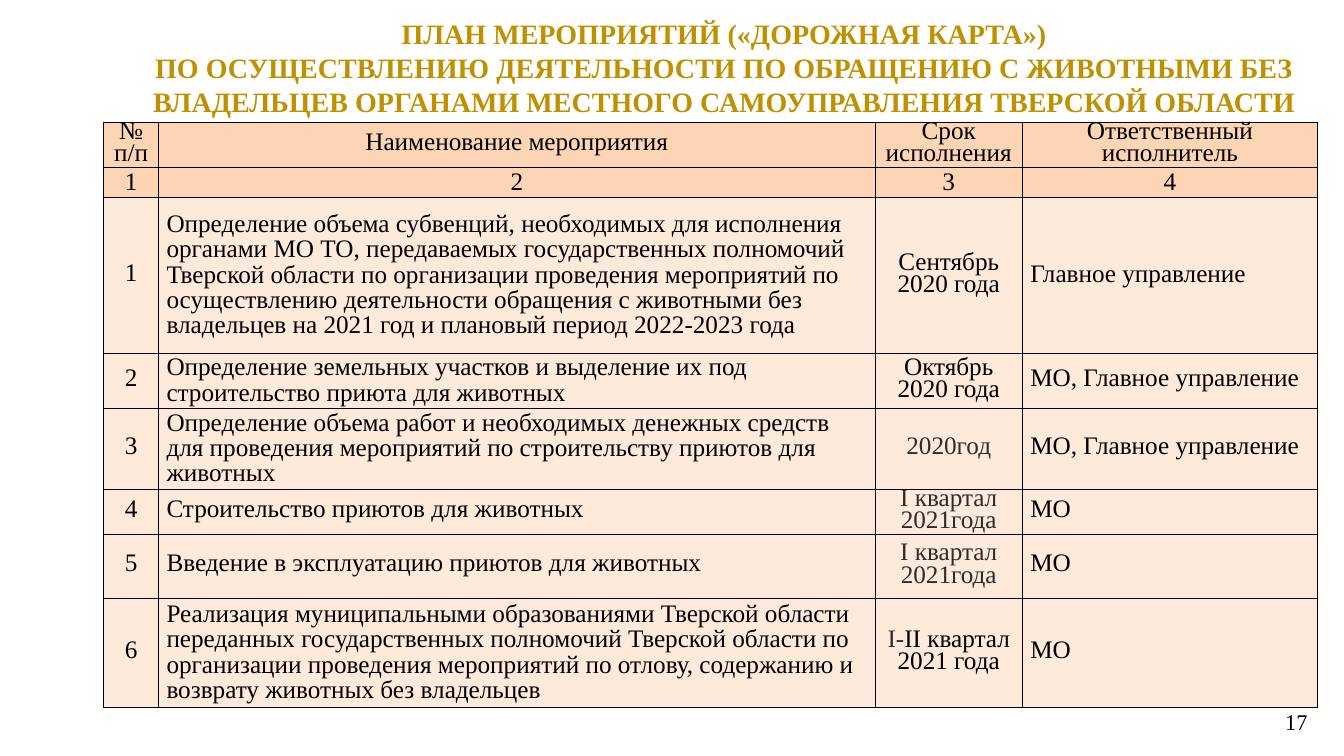
"""Build the road map slide: a title, a table of measures and a page number."""
from lxml import etree
from pptx import Presentation
from pptx.dml.color import RGBColor as RGB
from pptx.enum.text import MSO_ANCHOR as ANCHOR, PP_ALIGN as ALIGN
from pptx.oxml.ns import qn
from pptx.util import Pt

COLORS = {"gold": "BF9000", "black": "000000", "gray": "2D2D2D",
          "head": "FCD5B5", "body": "FDEADA"}
FONT = "Times New Roman"
EXACT = Pt(15.8)
COL_WIDTHS = [39, 512, 105, 211]
ROW_HEIGHTS = [31, 16, 111.6, 37.4, 56.2, 31, 46, 74.2]
HEADINGS = ["№ п/п", "Наименование мероприятия", "Срок исполнения",
            "Ответственный исполнитель"]
MEASURES = [
    ("Определение объема субвенций, необходимых для исполнения органами МО ТО, "
     "передаваемых государственных полномочий Тверской области по организации "
     "проведения мероприятий по осуществлению деятельности обращения с животными "
     "без владельцев на 2021 год и плановый период 2022-2023 года", 0.9,
     [("Сентябрь 2020 года", "black")], "Главное управление", 0.8),
    ("Определение земельных участков и выделение их под строительство приюта "
     "для животных", 0.9,
     [("Октябрь 2020 года", "black")], "МО, Главное управление", EXACT),
    ("Определение объема работ и необходимых денежных средств для проведения "
     "мероприятий по строительству приютов для животных", 0.9,
     [("2020год", "gray")], "МО, Главное управление", EXACT),
    ("Строительство приютов для животных", EXACT,
     [("I квартал 2021года", "gray")], "МО", EXACT),
    ("Введение в эксплуатацию приютов для животных", EXACT,
     [("I квартал 2021года", "gray")], "МО", EXACT),
    ("Реализация муниципальными образованиями Тверской области переданных "
     "государственных полномочий Тверской области по организации проведения "
     "мероприятий по отлову, содержанию и возврату животных без владельцев", 0.9,
     [("I-", "gray"), ("II квартал 2021 года", "black")], "МО", EXACT),
]


def set_attrs(obj, **values):
    """Set every given attribute on an object."""
    for name, value in values.items():
        setattr(obj, name, value)


def write(p, runs, size, align, spacing=None, bold=False):
    """Fill a paragraph with (text, colour name) runs."""
    set_attrs(p, alignment=align, line_spacing=spacing)
    for text, color in runs:
        r = p.add_run()
        r.text = text
        set_attrs(r.font, name=FONT, size=Pt(size), bold=bold)
        r.font.color.rgb = RGB.from_string(COLORS[color])


def add_text(s, box, lines, color, size, align, anchor=ANCHOR.TOP, bold=False):
    """Add a text box with one paragraph per line."""
    tf = s.shapes.add_textbox(*map(Pt, box)).text_frame
    set_attrs(tf, word_wrap=True, vertical_anchor=anchor)
    for i, line in enumerate(lines):
        p = tf.add_paragraph() if i else tf.paragraphs[0]
        write(p, [(line, color)], size, align, bold=bold)


def add_borders(cell):
    """Draw a thin black line on each side of a cell."""
    tc_pr = cell._tc.get_or_add_tcPr()
    for side in ("lnL", "lnR", "lnT", "lnB"):
        ln = etree.SubElement(tc_pr, qn(f"a:{side}"), w=str(Pt(1)))
        fill = etree.SubElement(ln, qn("a:solidFill"))
        etree.SubElement(fill, qn("a:srgbClr"), val=COLORS["black"])


def fill_cell(cell, runs, align, spacing, fill):
    """Format one table cell and write its text."""
    set_attrs(cell, margin_left=Pt(5.76), margin_right=Pt(5.76), margin_top=0,
              margin_bottom=0, vertical_anchor=ANCHOR.MIDDLE)
    add_borders(cell)
    cell.fill.solid()
    cell.fill.fore_color.rgb = RGB.from_string(COLORS[fill])
    write(cell.text_frame.paragraphs[0], runs, 18, align, spacing)


def table_rows():
    """Return each row as a list of (runs, alignment, spacing, fill)."""
    rows = [[([(h, "black")], ALIGN.CENTER, EXACT, "head") for h in HEADINGS],
            [([(str(n), "black")], ALIGN.CENTER, None, "head") for n in range(1, 5)]]
    for n, (name, name_ls, term, owner, owner_ls) in enumerate(MEASURES, 1):
        rows.append([([(str(n), "black")], ALIGN.CENTER, EXACT, "body"),
                     ([(name, "black")], ALIGN.LEFT, name_ls, "body"),
                     (term, ALIGN.CENTER, EXACT, "body"),
                     ([(owner, "black")], ALIGN.LEFT, owner_ls, "body")])
    return rows


def add_plan(s, left, top):
    """Add the table of measures."""
    rows = table_rows()
    size = (sum(COL_WIDTHS), sum(ROW_HEIGHTS))
    table = s.shapes.add_table(len(rows), len(COL_WIDTHS),
                               *map(Pt, (left, top, *size))).table
    set_attrs(table, first_row=False, horz_banding=False)
    for col, width in zip(table.columns, COL_WIDTHS):
        col.width = Pt(width)
    for row, height, values in zip(table.rows, ROW_HEIGHTS, rows):
        row.height = Pt(height)
        for cell, value in zip(row.cells, values):
            fill_cell(cell, *value)


def main():
    """Build and save the slide."""
    prs = Presentation()
    set_attrs(prs, slide_width=Pt(960), slide_height=Pt(540))
    s = prs.slides.add_slide(prs.slide_layouts[6])
    title = ["ПЛАН МЕРОПРИЯТИЙ («ДОРОЖНАЯ КАРТА»)",
             "ПО ОСУЩЕСТВЛЕНИЮ ДЕЯТЕЛЬНОСТИ ПО ОБРАЩЕНИЮ С ЖИВОТНЫМИ БЕЗ "
             "ВЛАДЕЛЬЦЕВ ОРГАНАМИ МЕСТНОГО САМОУПРАВЛЕНИЯ ТВЕРСКОЙ ОБЛАСТИ"]
    add_text(s, (92, 8.6, 850.4, 80), title, "gold", 20, ALIGN.CENTER, bold=True)
    add_text(s, (717, 497, 224, 37.4), ["17"], "black", 16, ALIGN.RIGHT,
             ANCHOR.MIDDLE)
    add_plan(s, 74.2, 87.8)
    prs.save("out.pptx")


if __name__ == "__main__":
    main()
